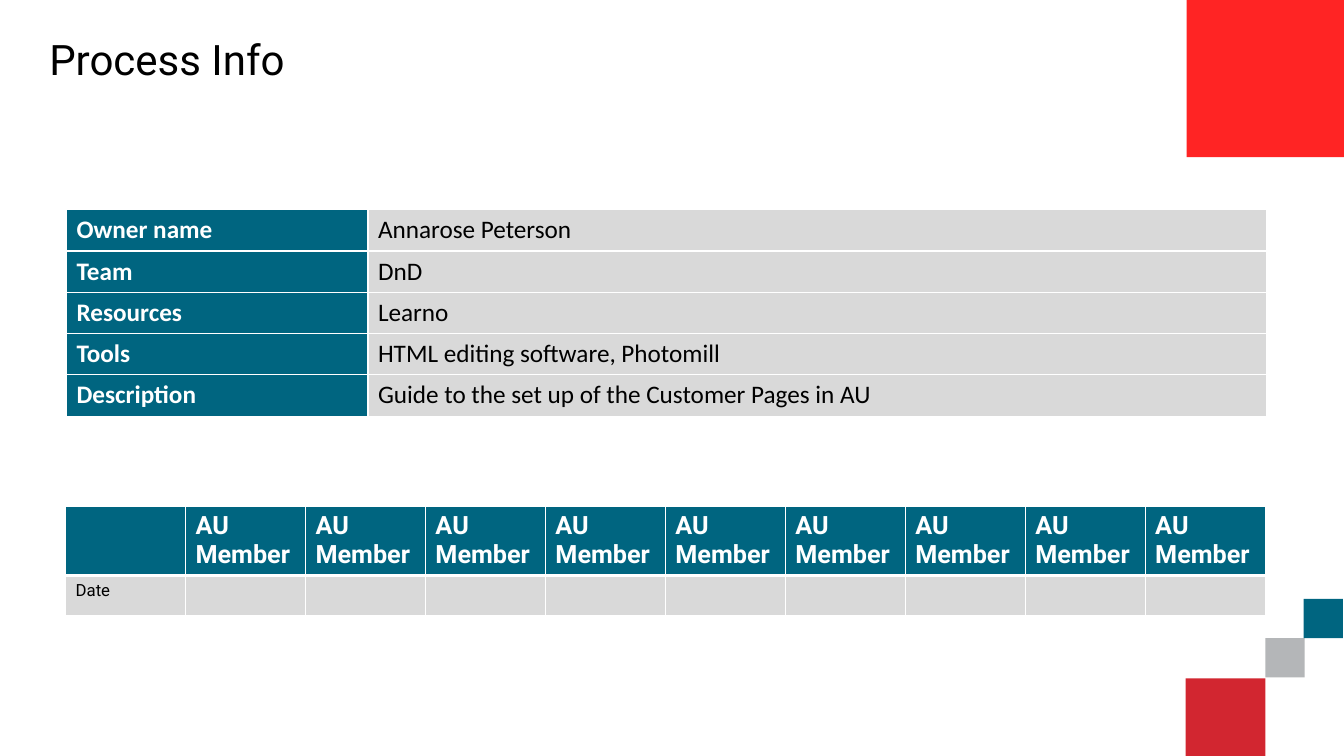
from dataclasses import dataclass

from lxml.etree import SubElement
from pptx import Presentation
from pptx.dml.color import RGBColor
from pptx.enum.shapes import MSO_SHAPE
from pptx.enum.text import MSO_ANCHOR
from pptx.oxml.ns import qn
from pptx.slide import Slide
from pptx.table import _Cell
from pptx.util import Inches, Pt

WHITE = RGBColor(0xFF, 0xFF, 0xFF)
BLACK = RGBColor(0x00, 0x00, 0x00)
TEAL = RGBColor(0x00, 0x65, 0x80)
LIGHT_GRAY = RGBColor(0xD9, 0xD9, 0xD9)
MID_GRAY = RGBColor(0xB4, 0xB6, 0xB8)
CRIMSON = RGBColor(0xD2, 0x26, 0x30)
RED = RGBColor(0xFF, 0x24, 0x24)


@dataclass(frozen=True)
class Square:
    left: float
    top: float
    side: float
    color: RGBColor


@dataclass(frozen=True)
class CellStyle:
    fill: RGBColor
    color: RGBColor
    font: str
    size: int
    bold: bool
    bottom_border: int = 1


@dataclass(frozen=True)
class Grid:
    left: float
    top: float
    widths: list[float]
    heights: list[float]
    rows: list[list[str]]
    styles: list[list[CellStyle]]


SQUARES = [
    Square(12.55, 6.33, 0.39, MID_GRAY),
    Square(12.93, 5.94, 0.39, TEAL),
    Square(11.76, 6.73, 0.79, CRIMSON),
    Square(11.77, -0.01, 1.57, RED),
]

INFO_LABEL = CellStyle(TEAL, WHITE, "Calibri", 18, True)
INFO_VALUE = CellStyle(LIGHT_GRAY, BLACK, "Calibri", 18, False)
MEMBER_HEADER = CellStyle(TEAL, WHITE, "Roboto", 18, True, 3)
MEMBER_DATE = CellStyle(LIGHT_GRAY, BLACK, "Roboto", 12, False)

INFO_ROWS = [
    ["Owner name", "Annarose Peterson"],
    ["Team", "DnD"],
    ["Resources", "Learno"],
    ["Tools", "HTML editing software, Photomill"],
    ["Description", "Guide to the set up of the Customer Pages in AU"],
]
MEMBERS = 9
MEMBER_COLUMNS = MEMBERS + 1

GRIDS = [
    Grid(0.66, 2.08, [2.99, 8.91], [0.41] * len(INFO_ROWS), INFO_ROWS,
         [[INFO_LABEL, INFO_VALUE]] * len(INFO_ROWS)),
    Grid(0.65, 5.02, [1.19] * MEMBER_COLUMNS, [0.69, 0.4],
         [[""] + ["AU Member"] * MEMBERS, ["Date"] + [""] * MEMBERS],
         [[MEMBER_HEADER] * MEMBER_COLUMNS, [MEMBER_DATE] * MEMBER_COLUMNS]),
]


def add_square(slide: Slide, square: Square) -> None:
    block = slide.shapes.add_shape(
        MSO_SHAPE.RECTANGLE, Inches(square.left), Inches(square.top),
        Inches(square.side), Inches(square.side))
    block.shadow.inherit = False
    block.fill.solid()
    block.fill.fore_color.rgb = square.color
    block.line.fill.background()


def add_border(cell: _Cell, edge: str, points: int) -> None:
    properties = cell._tc.get_or_add_tcPr()
    border = SubElement(properties, qn(f"a:{edge}"), w=str(Pt(points)))
    SubElement(SubElement(border, qn("a:solidFill")), qn("a:srgbClr"), val=str(WHITE))


def fill_cell(cell: _Cell, text: str, style: CellStyle, top_border: int) -> None:
    for edge, points in (("lnL", 1), ("lnR", 1), ("lnT", top_border),
                         ("lnB", style.bottom_border)):
        add_border(cell, edge, points)
    cell.fill.solid()
    cell.fill.fore_color.rgb = style.fill
    cell.text = text
    font = cell.text_frame.paragraphs[0].font
    font.name = style.font
    font.size = Pt(style.size)
    font.bold = style.bold
    font.color.rgb = style.color


def add_grid(slide: Slide, grid: Grid) -> None:
    table = slide.shapes.add_table(
        len(grid.heights), len(grid.widths), Inches(grid.left), Inches(grid.top),
        Inches(sum(grid.widths)), Inches(sum(grid.heights))).table
    table.first_row = False
    table.horz_banding = False
    for column, width in zip(table.columns, grid.widths):
        column.width = Inches(width)
    for row, height in zip(table.rows, grid.heights):
        row.height = Inches(height)
    for r, (texts, styles) in enumerate(zip(grid.rows, grid.styles)):
        for c, (text, style) in enumerate(zip(texts, styles)):
            top_border = grid.styles[r - 1][c].bottom_border if r else 1
            fill_cell(table.cell(r, c), text, style, top_border)


def add_title(slide: Slide, text: str) -> None:
    frame = slide.shapes.add_textbox(
        Inches(0.39), Inches(0.12), Inches(11.61), Inches(0.98)).text_frame
    frame.word_wrap = True
    frame.vertical_anchor = MSO_ANCHOR.MIDDLE
    heading = frame.paragraphs[0]
    heading.text = text
    heading.line_spacing = 0.9
    heading.font.name = "Roboto"
    heading.font.size = Pt(30)
    heading.font.color.rgb = BLACK


def main() -> None:
    presentation = Presentation()
    presentation.slide_width = Inches(13.33)
    presentation.slide_height = Inches(7.5)
    slide = presentation.slides.add_slide(presentation.slide_layouts[6])
    for square in SQUARES:
        add_square(slide, square)
    for grid in GRIDS:
        add_grid(slide, grid)
    add_title(slide, "Process Info")
    presentation.save("out.pptx")


if __name__ == "__main__":
    main()
